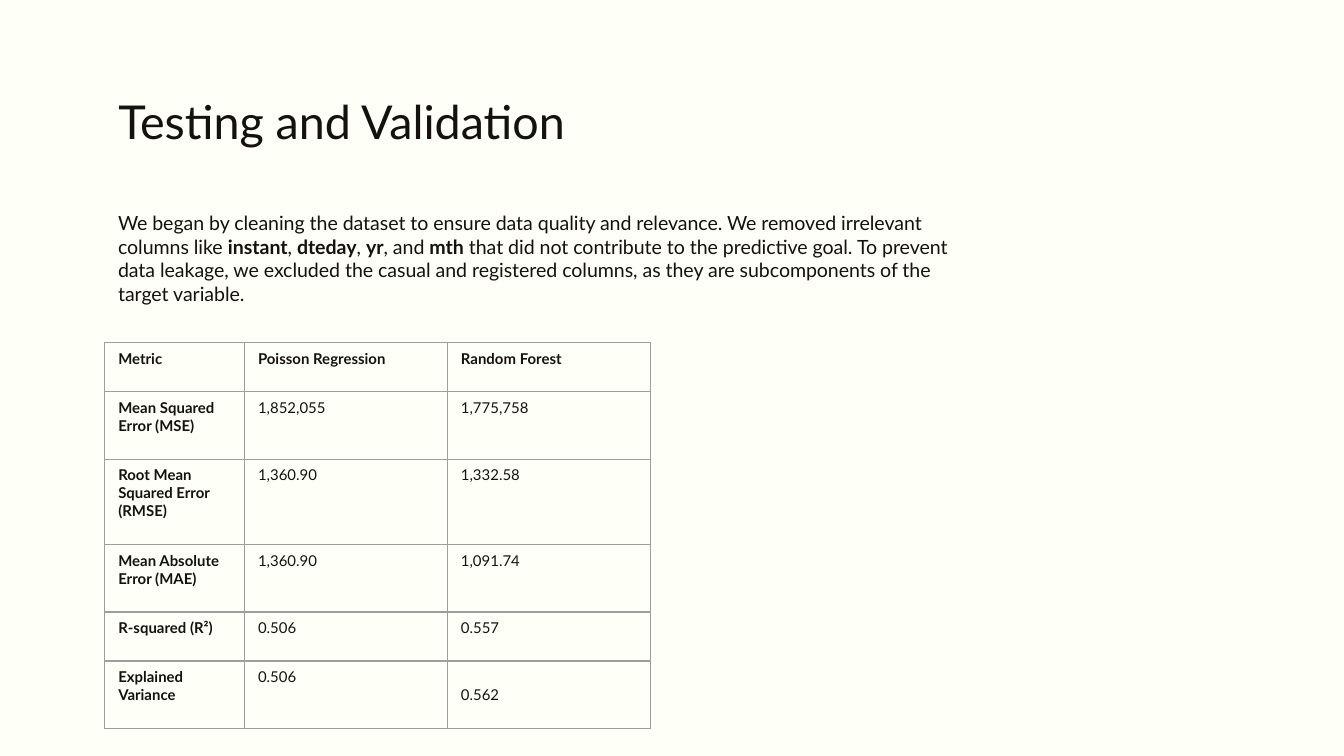
from lxml import etree
from pptx import Presentation
from pptx.dml.color import RGBColor
from pptx.enum import text
from pptx.oxml import ns
from pptx.util import Inches, Pt

CREAM = RGBColor(0xFE, 0xFF, 0xF6)
INK = RGBColor(0x15, 0x11, 0x0E)
GRID = RGBColor(0x9E, 0x9E, 0x9E)
FONT = "Lato"

SLIDE_WIDTH = 10
SLIDE_HEIGHT = SLIDE_WIDTH * 9 / 16

INTRO = [  # (wording, bold)
    ("We began by cleaning the dataset to ensure data quality and relevance. "
     "We removed irrelevant columns like ", False),
    ("instant", True), (", ", False), ("dteday", True), (", ", False),
    ("yr", True), (", and ", False), ("mth", True),
    (" that did not contribute to the predictive goal. To prevent data leakage, "
     "we excluded the casual and registered columns, as they are subcomponents "
     "of the target variable.", False),
]
METRICS = [
    ("Metric", "Poisson Regression", "Random Forest"),
    ("Mean Squared Error (MSE)", "1,852,055", "1,775,758"),
    ("Root Mean Squared Error (RMSE)", "1,360.90", "1,332.58"),
    ("Mean Absolute Error (MAE)", "1,360.90", "1,091.74"),
    ("R-squared (R²)", "0.506", "0.557"),
    ("Explained Variance", "0.506", "0.562"),
]
LINES_PER_ROW = [1, 2, 3, 2, 1, 2]
ROW_PADDING = 0.23
COLUMN_SHARES = [1.04, 1.51, 1.51]


def style_font(paragraph, size):
    paragraph.font.name = FONT
    paragraph.font.size = Pt(size)
    paragraph.font.color.rgb = INK


def set_up_frame(frame):
    frame.word_wrap = True
    frame.auto_size = text.MSO_AUTO_SIZE.NONE
    frame.vertical_anchor = text.MSO_ANCHOR.TOP
    frame.margin_left = frame.margin_right = Inches(0.1)
    frame.margin_top = frame.margin_bottom = Inches(0.1)


def add_title(slide, left, top, width, height):
    title = slide.shapes.title
    title.left, title.top = Inches(left), Inches(top)
    title.width, title.height = Inches(width), Inches(height)
    set_up_frame(title.text_frame)
    title.text_frame.text = "Testing and Validation"
    heading = title.text_frame.paragraphs[0]
    heading.alignment = text.PP_ALIGN.LEFT
    style_font(heading, 25)


def add_intro(slide, left, top, width, height):
    intro = slide.shapes.add_textbox(
        Inches(left), Inches(top), Inches(width), Inches(height))
    set_up_frame(intro.text_frame)
    paragraph = intro.text_frame.paragraphs[0]
    style_font(paragraph, 10.5)
    for wording, bold in INTRO:
        run = paragraph.add_run()
        run.text = wording
        run.font.bold = bold


def add_borders(cell):
    properties = cell._tc.get_or_add_tcPr()
    for position, side in enumerate(("lnL", "lnR", "lnT", "lnB")):
        line = etree.Element(ns.qn(f"a:{side}"), w=str(Pt(0.75)))
        fill = etree.SubElement(line, ns.qn("a:solidFill"))
        etree.SubElement(fill, ns.qn("a:srgbClr"), val=str(GRID))
        properties.insert(position, line)


def add_metrics(slide, left, top, width, height):
    table = slide.shapes.add_table(
        len(METRICS), len(METRICS[0]),
        Inches(left), Inches(top), Inches(width), Inches(height)).table
    table.first_row = table.horz_banding = False
    for column, share in zip(table.columns, COLUMN_SHARES):
        column.width = Inches(width * share / sum(COLUMN_SHARES))
    # Each row holds its lines plus equal padding
    line_height = (height - len(METRICS) * ROW_PADDING) / sum(LINES_PER_ROW)
    for row, lines in zip(table.rows, LINES_PER_ROW):
        row.height = Inches(ROW_PADDING + lines * line_height)

    for r, values in enumerate(METRICS):
        for c, value in enumerate(values):
            cell = table.cell(r, c)
            cell.text = value
            cell.fill.background()
            paragraph = cell.text_frame.paragraphs[0]
            style_font(paragraph, 8)
            paragraph.font.bold = r == 0 or c == 0
            add_borders(cell)
    # The last value sits mid-row
    table.cell(len(METRICS) - 1, 2).vertical_anchor = text.MSO_ANCHOR.MIDDLE


def main():
    deck = Presentation()
    deck.slide_width, deck.slide_height = Inches(SLIDE_WIDTH), Inches(SLIDE_HEIGHT)
    slide = deck.slides.add_slide(deck.slide_layouts[5])
    slide.background.fill.solid()
    slide.background.fill.fore_color.rgb = CREAM

    margin = 0.78
    add_intro(slide, margin, 1.47, 6.49, 0.79)
    add_title(slide, margin, 0.59, SLIDE_WIDTH - 2 * margin, 0.6)
    add_metrics(slide, margin, 2.55, 4.06, 2.87)
    deck.save("out.pptx")


if __name__ == "__main__":
    main()
